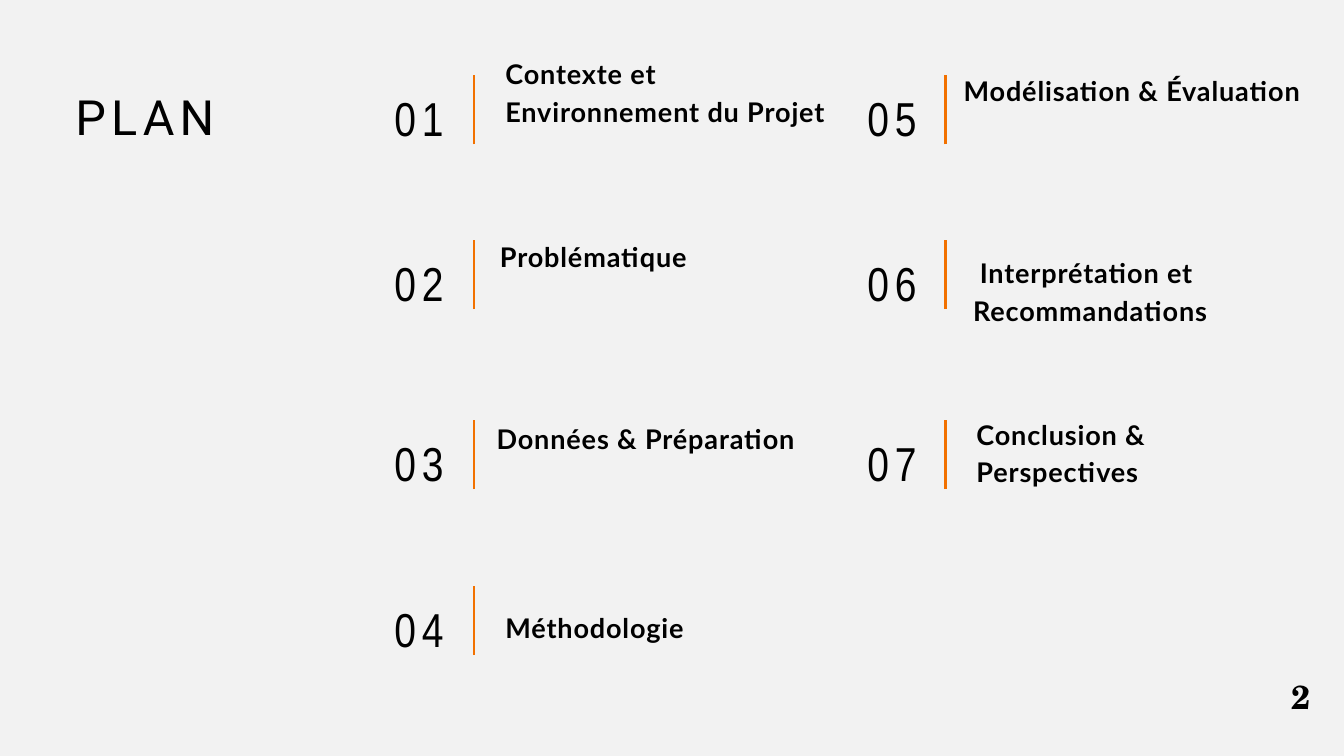
from typing import NamedTuple

from lxml.etree import SubElement
from pptx import Presentation
from pptx.dml.color import RGBColor
from pptx.enum.shapes import MSO_CONNECTOR as Connector
from pptx.enum.text import MSO_ANCHOR as Anchor, MSO_AUTO_SIZE as AutoSize, PP_ALIGN as Align
from pptx.oxml.ns import qn
from pptx.util import Inches, Pt


class Style(NamedTuple):
    font: str
    size: float
    leading: float
    spacing: float = 0
    bold: bool = False
    align: Align = Align.LEFT


class Frame(NamedTuple):
    left: float
    top: float
    width: float
    height: float


class Section(NamedTuple):
    label: str
    frame: Frame
    indent: float = 0


TITLE = Style("Roboto", 52, 66.6, 5.6)
NUMBER = Style("Arial Narrow", 51, 71.4, 6.3, align=Align.RIGHT)
LABEL = Style("Lato", 29, 40.6, 0.9, bold=True)
PAGE_NUMBER = Style("TeX Gyre Schola", 35.7, 50, bold=True, align=Align.CENTER)

NUMBER_LEFTS = (5.75, 12.79)
RULE_LEFTS = (7.06, 14.07)
ROW_TOPS = (1.12, 3.57, 6.25, 8.72)
RULE_HEIGHT = 1.03
NUMBER_DROP = 0.06

SECTIONS = (
    Section("Contexte et Environnement du Projet", Frame(7.52, 0.78, 4.85, 2.22)),
    Section("Problématique", Frame(7.44, 3.5, 4.76, 0.53)),
    Section("Données & Préparation", Frame(7.39, 6.21, 4.6, 1.1)),
    Section("Méthodologie", Frame(7.52, 9.02, 3.68, 0.53)),
    Section("Modélisation & Évaluation", Frame(14.34, 1.03, 5.36, 1.66)),
    Section("Interprétation et Recommandations", Frame(14.48, 3.74, 4.39, 1.1), 0.1),
    Section("Conclusion & Perspectives", Frame(14.53, 6.14, 3.93, 1.66)),
)


def color(value: str) -> RGBColor:
    return RGBColor.from_string(value)


def write(box, text: str, style: Style, indent: float = 0) -> None:
    frame = box.text_frame
    frame.word_wrap = True
    frame.auto_size = AutoSize.SHAPE_TO_FIT_TEXT
    frame.vertical_anchor = Anchor.TOP
    frame.margin_left = frame.margin_top = frame.margin_right = frame.margin_bottom = 0
    para = frame.paragraphs[0]
    para.alignment = style.align
    para.line_spacing = Pt(style.leading)
    if indent:
        para._p.get_or_add_pPr().set("indent", str(Inches(indent)))
    para.font.name = style.font
    para.font.size = Pt(style.size)
    para.font.bold = style.bold
    para.font.color.rgb = color("000000")
    span = para.add_run()
    span.text = text
    if style.spacing:
        span._r.get_or_add_rPr().set("spc", str(round(style.spacing * 100)))


def add_text(page, text: str, frame: Frame, style: Style, indent: float = 0) -> None:
    box = page.shapes.add_textbox(*map(Inches, frame))
    write(box, text, style, indent)


def add_rule(page, left: float, top: float) -> None:
    ends = (left, top + RULE_HEIGHT, left, top)
    rule = page.shapes.add_connector(Connector.STRAIGHT, *map(Inches, ends))
    rule.line.color.rgb = color("F27100")
    rule.line.width = Pt(2.25)
    SubElement(rule._element.spPr, qn("a:effectLst"))


def add_section(page, index: int, section: Section) -> None:
    column, row = divmod(index, len(ROW_TOPS))
    top = ROW_TOPS[row]
    add_rule(page, RULE_LEFTS[column], top)
    number_frame = Frame(NUMBER_LEFTS[column], top + NUMBER_DROP, 0.85, 0.96)
    add_text(page, f"{index + 1:02d}", number_frame, NUMBER)
    add_text(page, section.label, section.frame, LABEL, section.indent)


def main() -> None:
    deck = Presentation()
    deck.slide_width, deck.slide_height = Inches(20), Inches(11.25)
    page = deck.slides.add_slide(deck.slide_layouts[5])
    page.background.fill.solid()
    page.background.fill.fore_color.rgb = color("F2F2F2")

    title = page.shapes.title
    title.left, title.top, title.width, title.height = map(Inches, (1.12, 1.23, 2.83, 1.84))
    write(title, "PLAN", TITLE)

    for index, section in enumerate(SECTIONS):
        add_section(page, index, section)
    add_text(page, "2", Frame(19.2, 9.96, 0.32, 0.67), PAGE_NUMBER)
    deck.save("out.pptx")


if __name__ == "__main__":
    main()
